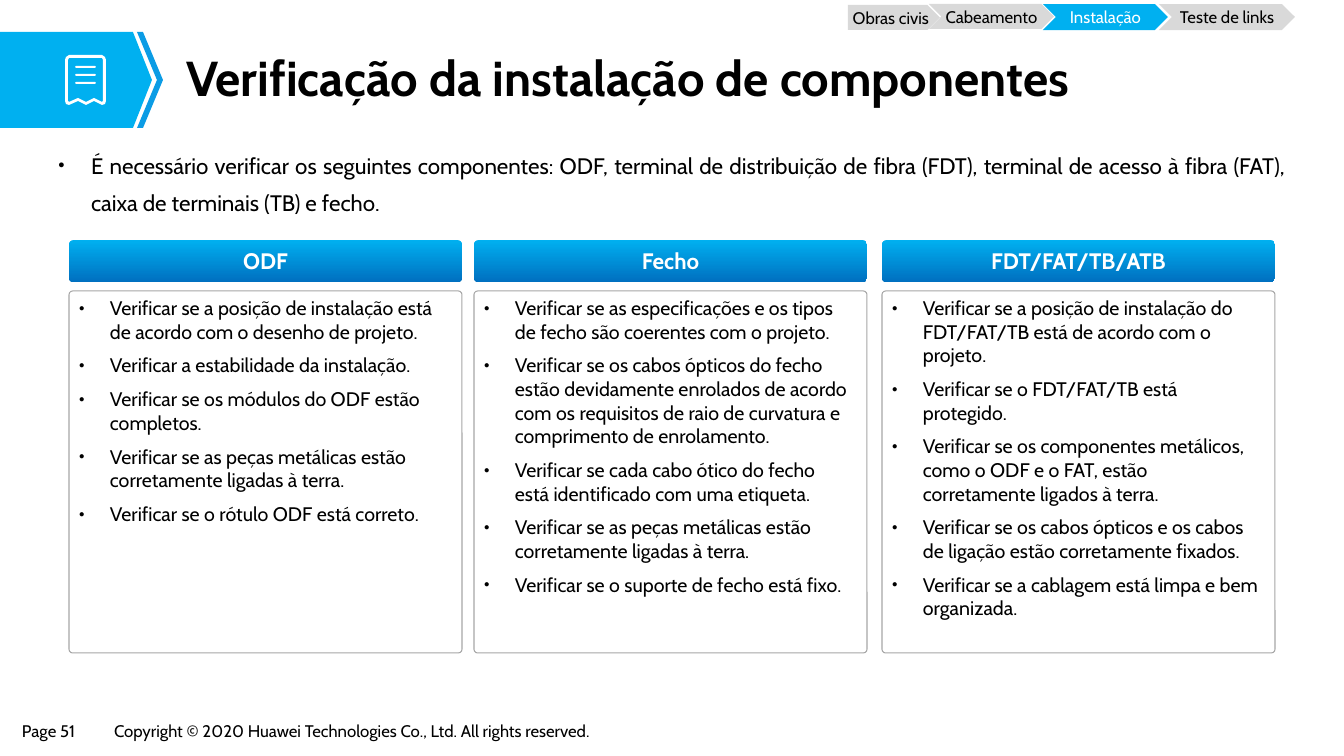
from lxml import etree
from pptx import Presentation
from pptx.dml.color import RGBColor
from pptx.enum.shapes import MSO_SHAPE
from pptx.enum.text import MSO_ANCHOR, PP_ALIGN
from pptx.oxml.ns import qn
from pptx.util import Emu, Pt

CHEVRON, PENTAGON, ROUNDED = MSO_SHAPE.CHEVRON, MSO_SHAPE.PENTAGON, MSO_SHAPE.ROUNDED_RECTANGLE
TOP, MIDDLE = MSO_ANCHOR.TOP, MSO_ANCHOR.MIDDLE
LEFT, CENTER, JUSTIFY = PP_ALIGN.LEFT, PP_ALIGN.CENTER, PP_ALIGN.JUSTIFY

FONT = "Cabin"
BLACK, WHITE, CYAN, BLUE = "000000", "FFFFFF", "00B0F0", "0070C0"
ACCENT, GREY, BORDER = "0B9CE5", "D9D9D9", "A6A6A6"

TITLE = "Verificação da instalação de componentes"
INTRO = ("É necessário verificar os seguintes componentes: ODF, terminal de distribuição de fibra (FDT), "
         "terminal de acesso à fibra (FAT), caixa de terminais (TB) e fecho.")
FOOTER = [
    ("Page 51", 13, 82),
    ("Copyright © 2020 Huawei Technologies Co., Ltd. All rights reserved.", 105, 545),
]
STEPS = [
    ("Cabeamento", CHEVRON, (929, 4, 125, 25), GREY, BLACK),
    ("Instalação", CHEVRON, (1043, 4, 125, 26), CYAN, WHITE),
    ("Teste de links", CHEVRON, (1159, 4, 136, 26), GREY, BLACK),
    ("Obras civis", PENTAGON, (848, 5, 92, 25), GREY, BLACK),
]
COLUMNS = [
    ("ODF", 69, [
        "Verificar se a posição de instalação está de acordo com o desenho de projeto.",
        "Verificar a estabilidade da instalação.",
        "Verificar se os módulos do ODF estão completos.",
        "Verificar se as peças metálicas estão corretamente ligadas à terra.",
        "Verificar se o rótulo ODF está correto.",
    ]),
    ("Fecho", 474, [
        "Verificar se as especificações e os tipos de fecho são coerentes com o projeto.",
        "Verificar se os cabos ópticos do fecho estão devidamente enrolados de acordo "
        "com os requisitos de raio de curvatura e comprimento de enrolamento.",
        "Verificar se cada cabo ótico do fecho está identificado com uma etiqueta.",
        "Verificar se as peças metálicas estão corretamente ligadas à terra.",
        "Verificar se o suporte de fecho está fixo.",
    ]),
    ("FDT/FAT/TB/ATB", 882, [
        "Verificar se a posição de instalação do FDT/FAT/TB está de acordo com o projeto.",
        "Verificar se o FDT/FAT/TB está protegido.",
        "Verificar se os componentes metálicos, como o ODF e o FAT, estão corretamente ligados à terra.",
        "Verificar se os cabos ópticos e os cabos de ligação estão corretamente fixados.",
        "Verificar se a cablagem está limpa e bem organizada.",
    ]),
]
BANNER = [(133, 128), (0, 128), (0, 32), (133, 32), (152, 80)]
BANNER_EDGE = [(143, 32), (137, 32), (157, 80), (137, 128), (143, 128), (163, 80)]
RECEIPT_OUTER = [(69, 55), (102, 55), (105, 57), (106, 60), (106, 101), (105, 104), (102, 105), (94, 101),
                 (86, 105), (78, 101), (69, 105), (66, 104), (65, 101), (65, 60), (66, 57)]
RECEIPT_INNER = [(69, 58), (68, 60), (68, 101), (69, 102), (78, 98), (86, 102), (94, 98), (102, 102),
                 (103, 101), (103, 60), (102, 58)]
RECEIPT_LINES = [[(76, y), (95, y), (96, y + 1), (95, y + 2), (76, y + 2), (75, y + 1)] for y in (66, 74, 82)]

SCALE = 914400 / 100.8


def px(length):
    return Emu(round(length * SCALE))


def color(value):
    return RGBColor.from_string(value)


presentation = Presentation()
presentation.slide_width, presentation.slide_height = px(1344), px(756)
slide = presentation.slides.add_slide(presentation.slide_layouts[6])
shapes = slide.shapes


def add_outline(contours, fill):
    builder = shapes.build_freeform(*contours[0][0], scale=SCALE)
    builder.add_line_segments(contours[0][1:], close=True)
    for contour in contours[1:]:
        builder.move_to(*contour[0])
        builder.add_line_segments(contour[1:], close=True)
    shape = builder.convert_to_shape()
    shape.shadow.inherit = False
    shape.fill.solid()
    shape.fill.fore_color.rgb = color(fill)
    shape.line.fill.background()


def add_preset(kind, box):
    shape = shapes.add_shape(kind, *map(px, box))
    shape.shadow.inherit = False
    shape.line.fill.background()
    return shape


def add_text_box(box):
    return shapes.add_textbox(*map(px, box))


def write(shape, texts, size, font_color=BLACK, bold=False, align=LEFT, anchor=TOP,
          insets=(10, 5), indent=0, line_spacing=None, space_before=0, wrap=True):
    frame = shape.text_frame
    frame.word_wrap = wrap
    frame.vertical_anchor = anchor
    frame.margin_left = frame.margin_right = px(insets[0])
    frame.margin_top = frame.margin_bottom = px(insets[1])
    for index, text in enumerate(texts):
        paragraph = frame.add_paragraph() if index else frame.paragraphs[0]
        paragraph.alignment = align
        if line_spacing:
            paragraph.line_spacing = line_spacing
        if index:
            paragraph.space_before = Pt(space_before)
        if indent:
            properties = paragraph._p.get_or_add_pPr()
            properties.set("marL", str(px(indent)))
            properties.set("indent", str(-px(indent)))
            etree.SubElement(properties, qn("a:buSzPct"), val="50000")
            etree.SubElement(properties, qn("a:buFont"), typeface="Arial")
            etree.SubElement(properties, qn("a:buChar"), char="●")
        run = paragraph.add_run()
        run.text = text
        run.font.name, run.font.size, run.font.bold = FONT, Pt(size), bold
        run.font.color.rgb = color(font_color)


for text, left, width in FOOTER:
    write(add_text_box((left, 717, width, 29)), [text], 12, insets=(9, 4), wrap=False)

add_outline([BANNER], CYAN)
add_outline([BANNER_EDGE], ACCENT)
add_outline([RECEIPT_OUTER, RECEIPT_INNER], WHITE)
add_outline(RECEIPT_LINES, WHITE)

write(add_text_box((49, 137, 1246, 516)), [INTRO], 16, align=JUSTIFY, insets=(9, 4), indent=33, line_spacing=1.4)
write(add_text_box((175, 45, 1084, 71)), [TITLE], 35, bold=True, anchor=MIDDLE, insets=(11, 6), line_spacing=0.9)

for heading, left, checks in COLUMNS:
    header = add_preset(ROUNDED, (left, 240, 393, 42))
    header.adjustments[0] = 0.11
    header.fill.gradient()
    header.fill.gradient_angle = 270
    for stop, value in zip(header.fill.gradient_stops, (CYAN, BLUE)):
        stop.color.rgb = color(value)
    write(header, [heading], 16, WHITE, bold=True, align=CENTER, anchor=MIDDLE)

    panel = add_preset(ROUNDED, (left, 291, 393, 362))
    panel.adjustments[0] = 0.01
    panel.fill.background()
    panel.line.color.rgb = color(BORDER)
    panel.line.width = Pt(0.75)

    write(add_text_box((left, 291, 389, 362)), checks, 14, indent=31, space_before=7.4)

for label, kind, box, fill, font_color in STEPS:
    step = add_preset(kind, box)
    step.fill.solid()
    step.fill.fore_color.rgb = color(fill)
    write(step, [label], 12, font_color, align=CENTER, anchor=MIDDLE, insets=(0, 0))

presentation.save("out.pptx")
